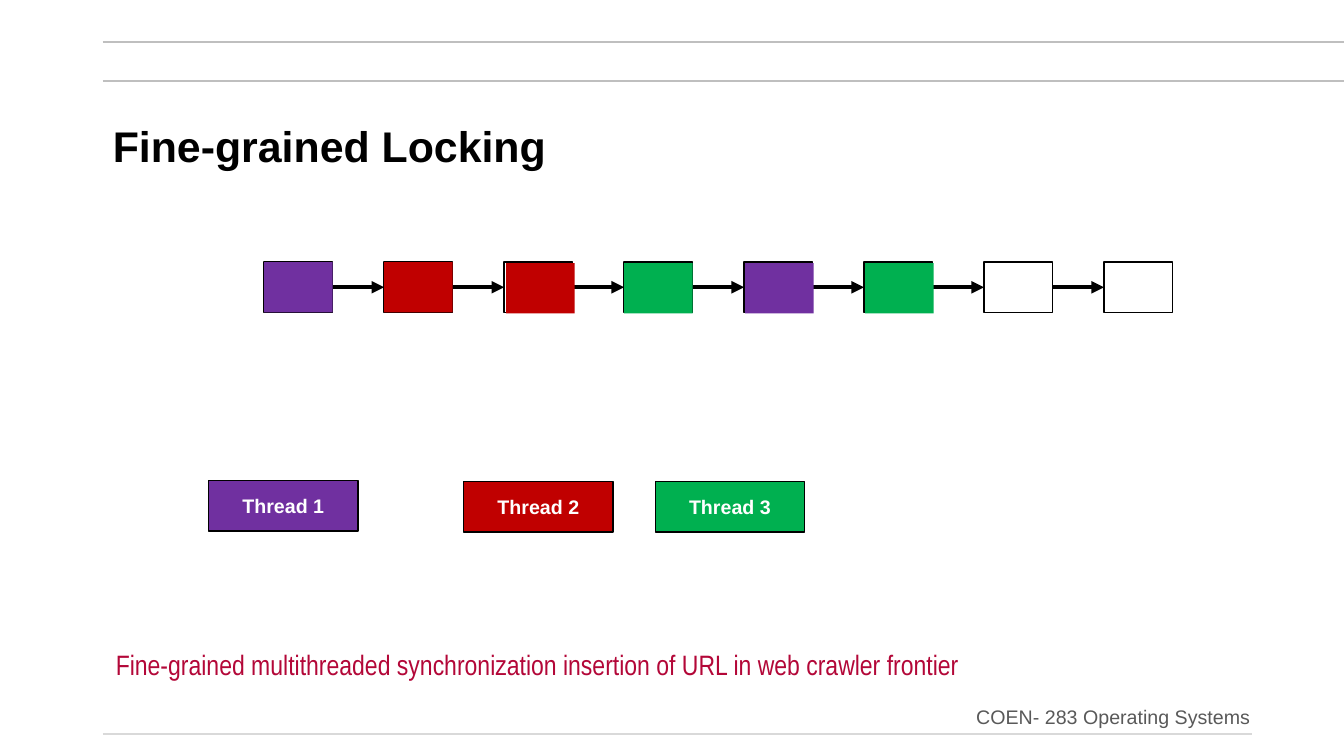
from pptx import Presentation
from pptx import util as u
from pptx.dml.color import RGBColor
from pptx.enum import shapes, text
from pptx.oxml.ns import qn
from lxml import etree

# Content
COLORS = {"violet": "7030A0", "red": "C00000", "green": "00B050",
          "white": "FFFFFF", "black": "000000", "rule": "BFBFBF",
          "pale": "D9D9D9", "gray": "595959", "crimson": "B30738"}
TITLE = "Fine-grained Locking"
COURSE = "COEN- 283 Operating Systems"
CAPTION = ("Fine-grained multithreaded synchronization insertion of URL "
           "in web crawler frontier")
RULES = [(0.8, 13.33, "rule"), (0.42, 13.33, "rule"), (7.28, 12.42, "pale")]
# Lock held on each leading node: color, shift right, shift down
LOCKS = [("violet", 0, 0), ("red", 0, 0), ("red", 0.02, 0.01),
         ("green", 0, 0.01), ("violet", 0.01, 0.01), ("green", 0.01, 0.01)]
THREADS = [("Thread 1", 2.07, 4.77, "violet"), ("Thread 2", 4.6, 4.78, "red"),
           ("Thread 3", 6.5, 4.78, "green")]

# Linked list layout
COUNT, LEFT, TOP, STEP = 8, 2.62, 2.6, 1.19
WIDE, HIGH = 0.68, 0.5

deck = Presentation()
deck.slide_width, deck.slide_height = u.Inches(13.33), u.Inches(7.5)
slide = deck.slides.add_slide(deck.slide_layouts[6])


def rgb(name):
    return RGBColor.from_string(COLORS[name])


def line(x1, y1, x2, y2, color, width, arrow=False):
    link = slide.shapes.add_connector(
        shapes.MSO_CONNECTOR.STRAIGHT, *map(u.Inches, (x1, y1, x2, y2)))
    link.line.color.rgb = rgb(color)
    link.line.width = u.Pt(width)
    if arrow:
        etree.SubElement(link.line._get_or_add_ln(), qn("a:tailEnd"),
                         type="triangle")
    etree.SubElement(link._element.spPr, qn("a:effectLst"))


def box(x, y, wide, high, fill, edge=True):
    rect = slide.shapes.add_shape(
        shapes.MSO_SHAPE.RECTANGLE, *map(u.Inches, (x, y, wide, high)))
    rect.shadow.inherit = False
    rect.fill.solid()
    rect.fill.fore_color.rgb = rgb(fill)
    if edge:
        rect.line.color.rgb = rgb("black")
        rect.line.width = u.Pt(1)
    else:
        rect.line.fill.background()
    return rect


def write(shape, words, size, color, bold=False, face="Arial",
          align="LEFT", anchor="MIDDLE", space=None):
    frame = shape.text_frame
    frame.word_wrap = True
    frame.vertical_anchor = getattr(text.MSO_ANCHOR, anchor)
    para = frame.paragraphs[0]
    para.text = words
    para.alignment = getattr(text.PP_ALIGN, align)
    if space:
        para.line_spacing = space
    font = para.font
    font.name, font.size, font.bold = face, u.Pt(size), bold
    font.color.rgb = rgb(color)


def label(x, y, wide, high, *args, **style):
    area = slide.shapes.add_textbox(*map(u.Inches, (x, y, wide, high)))
    write(area, *args, **style)


# Page rules, title and course name
for y, end, color in RULES:
    line(1.02, y, end, y, color, 1.5)
label(1.02, 1.28, 11.39, 0.39, TITLE, 30.6, "black", bold=True, space=0.9)
label(8.26, 6.84, 4.24, 0.44, COURSE, 14, "gray", align="RIGHT",
      anchor="BOTTOM", space=0.9)

# Linked list
for i in range(COUNT):
    x = LEFT + i * STEP
    box(x, TOP, WIDE, HIGH, "white")
    if i < COUNT - 1:
        mid = TOP + HIGH / 2
        line(x + WIDE, mid, x + STEP, mid, "black", 3, arrow=True)

# Locks held on the nodes
for i, (color, dx, dy) in enumerate(LOCKS):
    box(LEFT + i * STEP + dx, TOP + dy, WIDE, HIGH, color, edge=False)

# Threads
for name, x, y, color in THREADS:
    write(box(x, y, 1.48, 0.5, color), name, 14, "white", bold=True,
          align="CENTER")

# Caption
label(1.05, 6.37, 11.65, 0.44, CAPTION, 20, "crimson", face="Arial Narrow",
      anchor="TOP")

deck.save("out.pptx")
